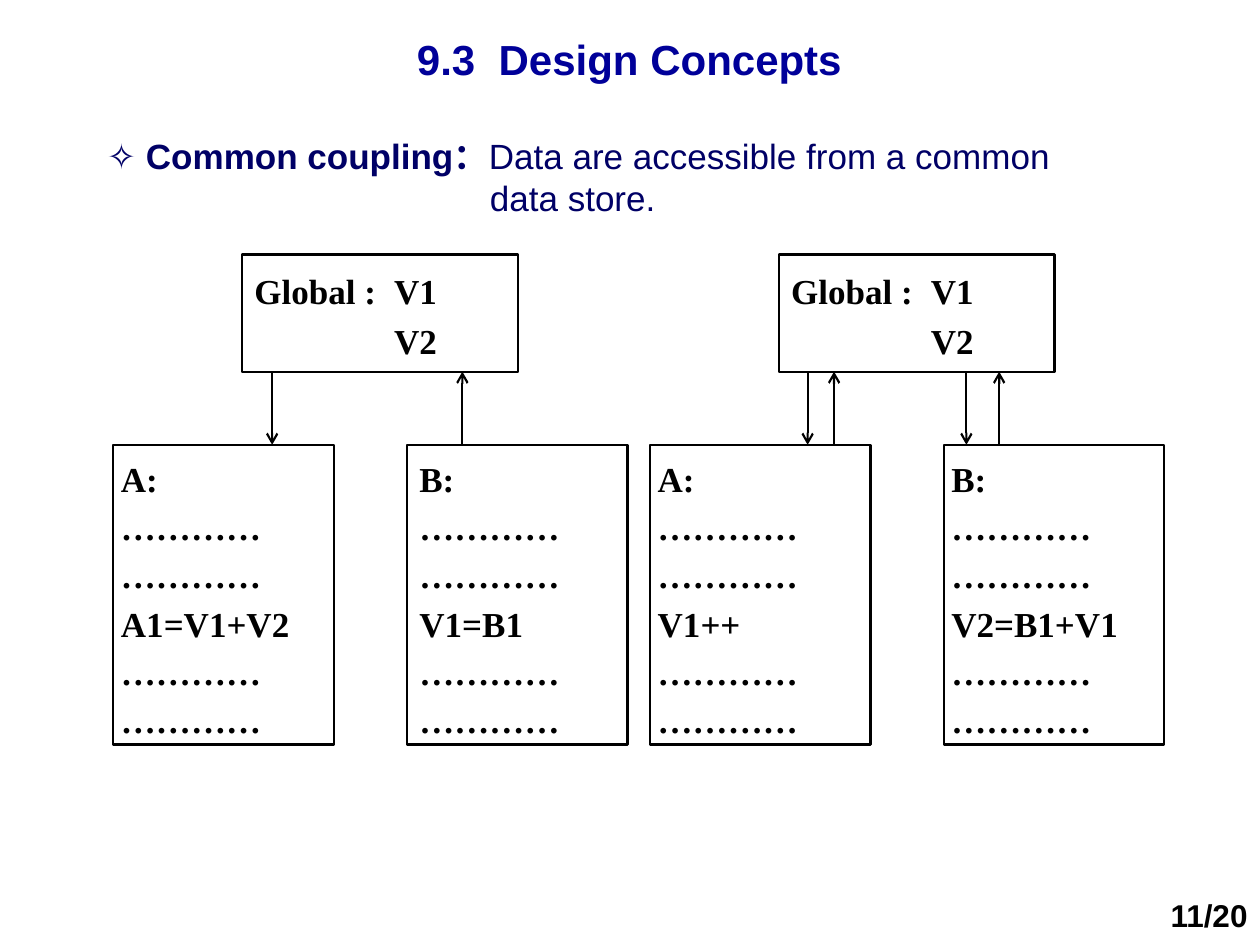
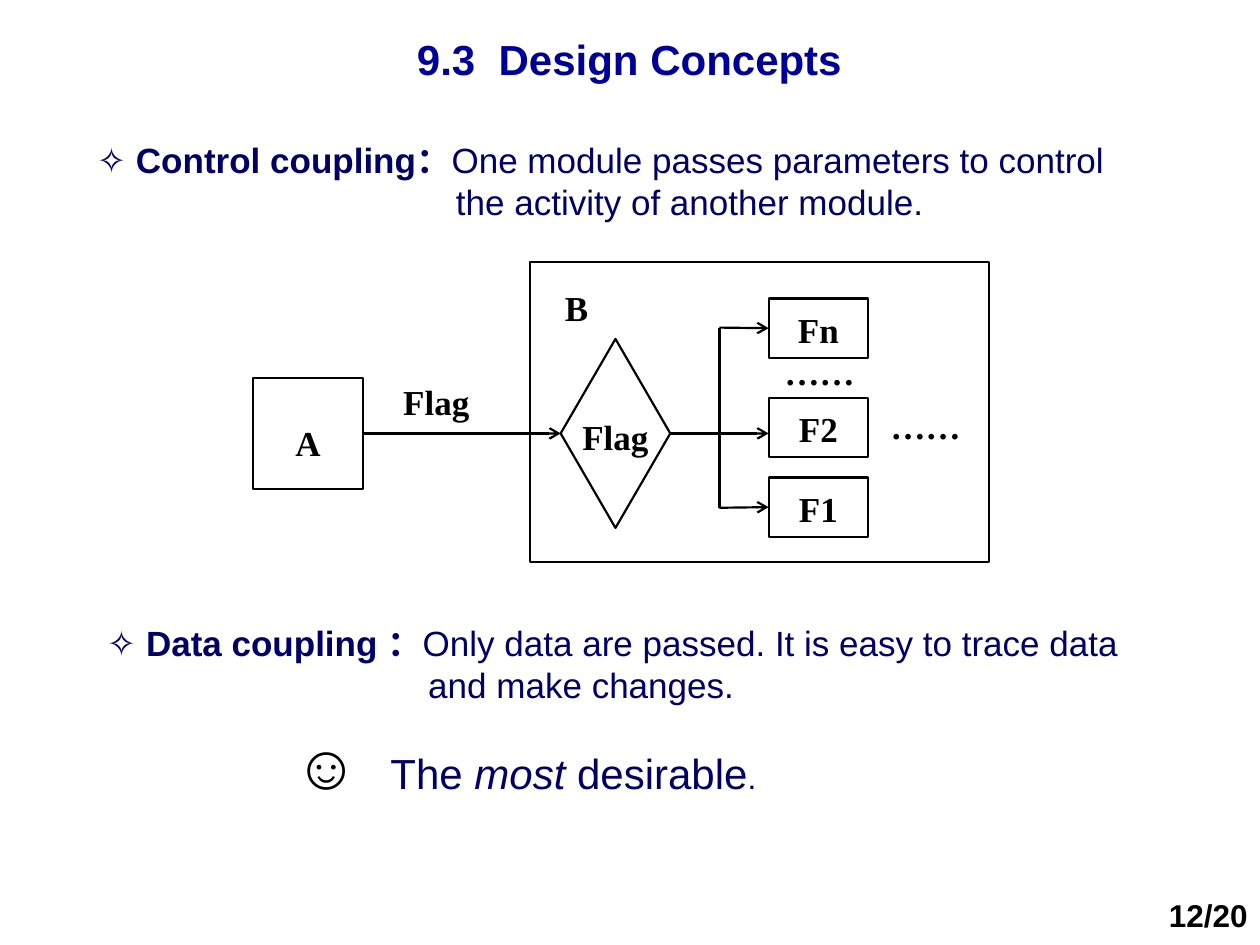
from dataclasses import dataclass

from lxml import etree
from pptx import Presentation
from pptx.dml.color import RGBColor
from pptx.enum.shapes import MSO_CONNECTOR, MSO_SHAPE
from pptx.enum.text import MSO_ANCHOR, PP_ALIGN
from pptx.oxml.ns import qn
from pptx.util import Inches, Pt

LEFT, CENTER, RIGHT = PP_ALIGN.LEFT, PP_ALIGN.CENTER, PP_ALIGN.RIGHT
TOP, MIDDLE = MSO_ANCHOR.TOP, MSO_ANCHOR.MIDDLE
RECTANGLE, DIAMOND = MSO_SHAPE.RECTANGLE, MSO_SHAPE.DIAMOND
STRAIGHT = MSO_CONNECTOR.STRAIGHT
SIDE_LEFT, SIDE_RIGHT = 1, 3


@dataclass(frozen=True)
class Theme:
    title: RGBColor = RGBColor(0x00, 0x00, 0x99)
    body: RGBColor = RGBColor(0x00, 0x00, 0x66)
    ink: RGBColor = RGBColor(0x00, 0x00, 0x00)
    paper: RGBColor = RGBColor(0xFF, 0xFF, 0xFF)
    sans: str = "Arial"
    serif: str = "Times New Roman"
    small: int = 18
    text: int = 20
    large: int = 24
    icon: int = 36
    line: float = 1.25


THEME = Theme()
TITLE = dict(name=THEME.sans, size=THEME.large, bold=True, color=THEME.title)
TERM = dict(name=THEME.sans, size=THEME.text, bold=True, color=THEME.body)
MEANING = {**TERM, "bold": False}
VERDICT = {**MEANING, "size": THEME.large}
DIAGRAM = dict(name=THEME.serif, size=THEME.text, bold=True, color=THEME.ink)
PAGE = dict(name=THEME.sans, size=THEME.small, bold=True, color=THEME.ink)

PLAIN_INSETS = (0.1, 0.05, 0.1, 0.05)
NARROW_INSETS = (0.06, 0.05, 0.02, 0.05)
LABEL_INSETS = (0.02, 0.01, 0.02, 0.01)
DOTS = "…………"
TOTAL_PAGES = 20


def add_run(paragraph, text, style):
    run = paragraph.add_run()
    run.text = text
    for key, value in style.items():
        if key == "color":
            run.font.color.rgb = value
        else:
            setattr(run.font, key, Pt(value) if key == "size" else value)


def add_tab_stop(paragraph, position):
    tabs = etree.SubElement(paragraph._p.get_or_add_pPr(), qn("a:tabLst"))
    etree.SubElement(tabs, qn("a:tab"), pos=str(Inches(position)), algn="l")


def write(shape, lines, align=LEFT, spacing=None, insets=PLAIN_INSETS,
          anchor=TOP, tab=None, hanging=None):
    """Fill a shape; each line is a list of (text, style) runs."""
    frame = shape.text_frame
    left, top, right, bottom = map(Inches, insets)
    settings = dict(word_wrap=True, vertical_anchor=anchor, margin_left=left,
                    margin_top=top, margin_right=right, margin_bottom=bottom)
    for key, value in settings.items():
        setattr(frame, key, value)
    for index, runs in enumerate(lines):
        paragraph = frame.add_paragraph() if index else frame.paragraphs[0]
        if tab:
            add_tab_stop(paragraph, tab)
        if hanging:
            properties = paragraph._p.get_or_add_pPr()
            properties.set("marL", str(Inches(hanging)))
            properties.set("indent", str(-Inches(hanging)))
        paragraph.alignment = align
        if spacing:
            paragraph.line_spacing = spacing
        for text, style in runs:
            add_run(paragraph, text, style)


def add_text(slide, box, lines, **layout):
    write(slide.shapes.add_textbox(*map(Inches, box)), lines, **layout)


def add_label(slide, box, text, **layout):
    add_text(slide, box, [[(text, DIAGRAM)]], **layout)


def add_node(slide, box, lines=(), kind=RECTANGLE, filled=True, **layout):
    node = slide.shapes.add_shape(kind, *map(Inches, box))
    node.shadow.inherit = False
    if filled:
        node.fill.solid()
        node.fill.fore_color.rgb = THEME.paper
    else:
        node.fill.background()
    node.line.color.rgb = THEME.ink
    node.line.width = Pt(THEME.line)
    if lines:
        write(node, [[(line, DIAGRAM)] for line in lines], **layout)
    return node


def add_line(slide, start, end, source=None, target=None, arrow=True):
    """Draw a line; source and target are nodes joined at right and left."""
    line = slide.shapes.add_connector(STRAIGHT, *map(Inches, (*start, *end)))
    line.line.color.rgb = THEME.ink
    line.line.width = Pt(THEME.line)
    if source:
        line.begin_connect(source, SIDE_RIGHT)
    if target:
        line.end_connect(target, SIDE_LEFT)
    if arrow:
        etree.SubElement(line.line._get_or_add_ln(), qn("a:tailEnd"), type="arrow")
    etree.SubElement(line._element.spPr, qn("a:effectLst"))


def add_definition(slide, box, term, meaning, hanging):
    add_text(slide, box, [[(f"✧ {term}：", TERM), (meaning, MEANING)]],
             hanging=hanging)


def add_page(deck, number):
    slide = deck.slides.add_slide(deck.slide_layouts[6])
    add_text(slide, (0.9, 0, 8.19, 0.93), [[("9.3  Design Concepts", TITLE)]],
             align=CENTER, anchor=MIDDLE)
    add_text(slide, (9.1, 7.06, 0.9, 0.4),
             [[(f"{number}/{TOTAL_PAGES}", PAGE)]], align=RIGHT)
    return slide


def add_shared_store(slide, left, statements, reads, writes, b_insets):
    """Draw a global store above modules A and B, with arrows between them."""
    store_bottom, module_top = 2.95, 3.53
    add_node(slide, (left + 1.02, 2.02, 2.19, 0.93), ["Global :\tV1", "\tV2"],
             spacing=1.2, tab=1.11)
    modules = zip("AB", (0, 2.33), statements, (NARROW_INSETS, b_insets))
    for name, offset, statement, insets in modules:
        add_node(slide, (left + offset, module_top, 1.75, 2.38),
                 [f"{name}:", DOTS, DOTS, statement, DOTS, DOTS],
                 spacing=1.15, insets=insets)
    for offset in reads:
        x = left + offset
        add_line(slide, (x, store_bottom), (x, module_top))
    for offset in writes:
        x = left + offset
        add_line(slide, (x, module_top), (x, store_bottom))


def add_control_flow(slide):
    flow_y, branch_x, case_left = 3.44, 5.71, 6.1
    caller = add_node(slide, (2.01, 3, 0.87, 0.88), ["A"], align=CENTER,
                      spacing=2.0, insets=(0.1, 0.01, 0.1, 0.05))
    add_node(slide, (4.21, 2.08, 3.64, 2.38), filled=False)
    add_label(slide, (4.22, 1.86, 0.71, 0.79), "B", align=CENTER,
              spacing=2.2, insets=LABEL_INSETS)
    decision = add_node(slide, (4.45, 2.69, 0.87, 1.5), kind=DIAMOND, filled=False)
    add_label(slide, (4.45, 3.19, 0.87, 0.57), "Flag", align=CENTER,
              spacing=1.3, insets=(0.06, 0.01, 0.06, 0.01))
    add_label(slide, (3.18, 2.88, 0.71, 0.55), "Flag", spacing=1.4,
              insets=LABEL_INSETS)

    cases = {}
    for name, top in (("Fn", 2.37), ("F2", 3.16), ("F1", 3.79)):
        cases[name] = add_node(slide, (case_left, top, 0.79, 0.47), [name],
                               align=CENTER, spacing=1.2,
                               insets=(0.1, 0.01, 0.1, 0.01))
    add_label(slide, (6.11, 2.77, 0.79, 0.43), "……", align=CENTER,
              insets=LABEL_INSETS)
    add_label(slide, (6.97, 3.16, 1.17, 0.65), "……")

    add_line(slide, (2.88, flow_y), (4.45, flow_y), caller, decision)
    add_line(slide, (5.32, flow_y), (case_left, flow_y), decision)
    branch_top, branch_bottom = 2.6, 4.03
    add_line(slide, (branch_x, branch_top), (branch_x, branch_bottom), arrow=False)
    for name, y in (("Fn", branch_top), ("F1", branch_bottom)):
        add_line(slide, (branch_x, y), (case_left, y), target=cases[name])


def build_common_coupling(deck):
    slide = add_page(deck, 11)
    add_definition(slide, (0.75, 1.02, 8.27, 0.77), "Common coupling",
                   "Data are accessible from a common data store.", 3.04)
    add_shared_store(slide, 0.9, ("A1=V1+V2", "V1=B1"), reads=[1.26],
                     writes=[2.77], b_insets=PLAIN_INSETS)
    add_shared_store(slide, 5.16, ("V1++", "V2=B1+V1"), reads=[1.25, 2.51],
                     writes=[1.46, 2.77], b_insets=NARROW_INSETS)


def build_control_and_data_coupling(deck):
    slide = add_page(deck, 12)
    add_definition(slide, (0.67, 1.05, 8.58, 0.77), "Control coupling",
                   "One module passes parameters to control the activity of "
                   "another module.", 2.85)
    add_control_flow(slide)
    add_definition(slide, (0.75, 4.88, 8.69, 0.77), "Data coupling ",
                   "Only data are passed. It is easy to trace data and make "
                   "changes.", 2.55)
    verdict = [("☺\t", {**PAGE, "size": THEME.icon}), ("The ", VERDICT),
               ("most", {**VERDICT, "italic": True}), (" desirable", VERDICT),
               (".", {**VERDICT, "size": THEME.small})]
    add_text(slide, (2.24, 5.72, 5.58, 0.7), [verdict], tab=0.76)


def main():
    deck = Presentation()
    deck.slide_width, deck.slide_height = Inches(10), Inches(7.5)
    build_common_coupling(deck)
    build_control_and_data_coupling(deck)
    deck.save("out.pptx")


if __name__ == "__main__":
    main()
